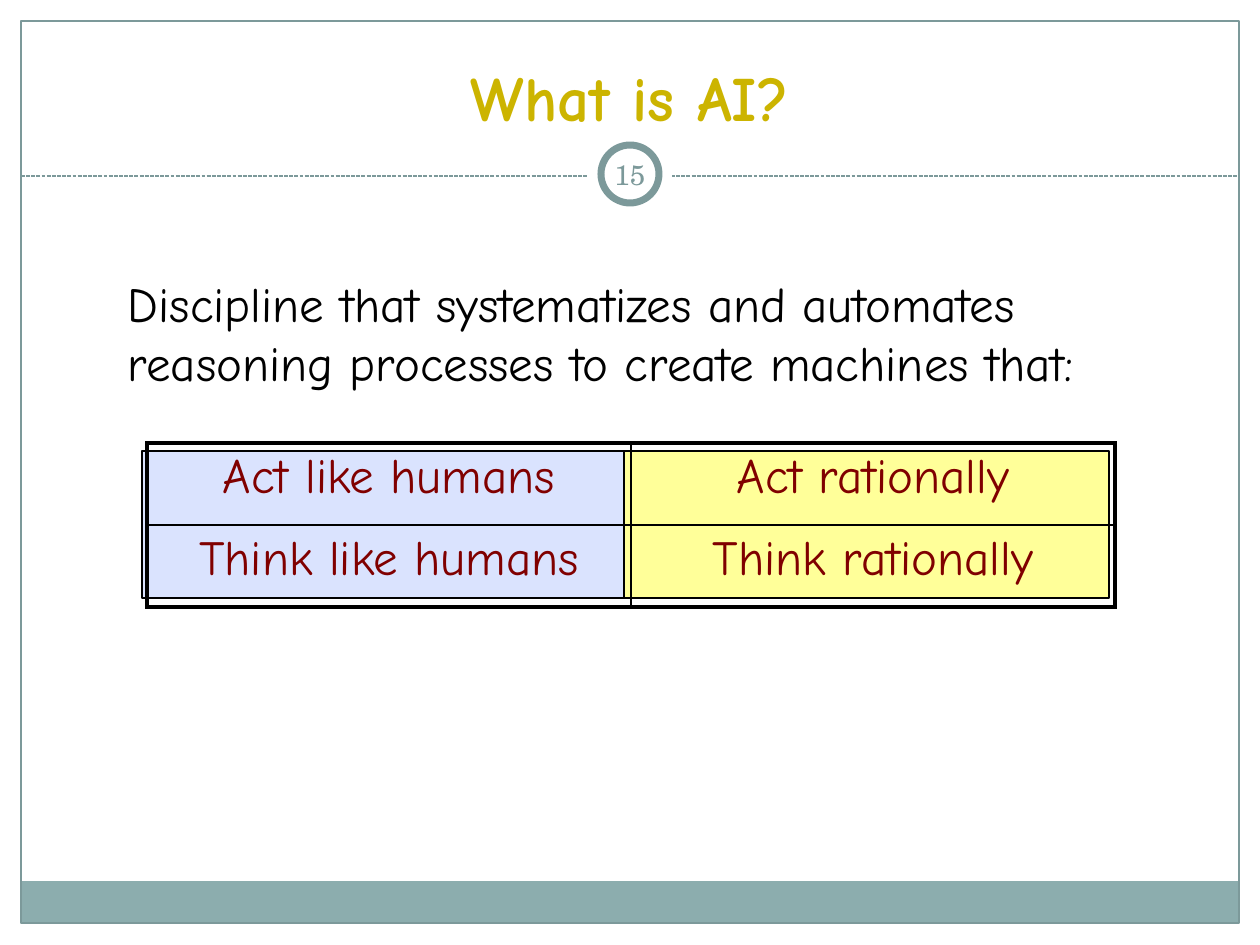
from lxml import etree
from pptx import Presentation
from pptx.dml.color import RGBColor
from pptx.enum.dml import MSO_LINE
from pptx.enum.shapes import MSO_CONNECTOR, MSO_SHAPE
from pptx.enum.text import MSO_ANCHOR, PP_ALIGN
from pptx.oxml.ns import qn
from pptx.util import Emu, Pt

RECT, OVAL = MSO_SHAPE.RECTANGLE, MSO_SHAPE.OVAL
STRAIGHT, DASH = MSO_CONNECTOR.STRAIGHT, MSO_LINE.SQUARE_DOT
LEFT, CENTER = PP_ALIGN.LEFT, PP_ALIGN.CENTER
TOP, MIDDLE, BOTTOM = MSO_ANCHOR.TOP, MSO_ANCHOR.MIDDLE, MSO_ANCHOR.BOTTOM

# Content
TITLE = "What is AI?"
PAGE_NUMBER = "15"
INTRO = ("Discipline that systematizes and automates reasoning "
         "processes to create machines that:")
GOALS = [["Act like humans", "Act rationally"],
         ["Think like humans", "Think rationally"]]

# Theme
THEME = {
    "white": "FFFFFF", "teal": "7C999A", "band": "8CADAE", "black": "000000",
    "blue": "DAE3FE", "yellow": "FFFF99",
    "title": {"name": "Comic Neue", "size": 36, "bold": True, "color": "CCB400"},
    "body": {"name": "Comic Neue", "size": 28, "bold": False, "color": "000000"},
    "goal": {"name": "Comic Neue", "size": 28, "bold": False, "color": "800000"},
    "number": {"name": "TeX Gyre Schola", "size": 16, "bold": False, "color": "7C999A"},
    "thin": 0.75, "ring": 4, "inner": 1, "outer": 2.25,
}

# Layout in px: (shape, box, fill, line colour, line width)
WIDTH, HEIGHT = 1260, 945
RULE_Y, EDGE = 176, 21
FRAME = [
    (RECT, (0, 0, WIDTH, 192), "white", None, None),
    (RECT, (0, 0, EDGE, HEIGHT), "white", None, None),
    (RECT, (WIDTH - EDGE, 0, EDGE, HEIGHT), "white", None, None),
    (RECT, (EDGE, 881, WIDTH - 2 * EDGE, 43), "band", None, None),
    (RECT, (EDGE, EDGE, WIDTH - 2 * EDGE, 902), None, "teal", "thin"),
]
BADGE = [
    (OVAL, (588, 132, 84, 84), "white", None, None),
    (OVAL, (601, 145, 58, 58), "white", "teal", "ring"),
]
PANELS = [
    (RECT, (142, 451, 482, 147), "blue", "black", "thin"),
    (RECT, (624, 451, 485, 147), "yellow", "black", "thin"),
]
TABLE_BOX = (147, 443, 968, 164)


def px(value):
    return Emu(round(value * 914400 / 126))


def rgb(code):
    return RGBColor.from_string(code)


def add_shapes(page, items):
    for kind, box, fill, line, width in items:
        shape = page.shapes.add_shape(kind, *map(px, box))
        shape.shadow.inherit = False
        if fill:
            shape.fill.solid()
            shape.fill.fore_color.rgb = rgb(THEME[fill])
        else:
            shape.fill.background()
        if line:
            shape.line.color.rgb = rgb(THEME[line])
            shape.line.width = Pt(THEME[width])
        else:
            shape.line.fill.background()


def write(frame, text, style, align):
    para = frame.paragraphs[0]
    para.alignment = align
    span = para.add_run()
    span.text = text
    look = THEME[style]
    for name, value in {"name": look["name"], "size": Pt(look["size"]),
                        "bold": look["bold"]}.items():
        setattr(span.font, name, value)
    span.font.color.rgb = rgb(look["color"])


def add_text(page, box, text, style, align, anchor, insets):
    frame = page.shapes.add_textbox(*map(px, box)).text_frame
    frame.word_wrap = True
    frame.vertical_anchor = anchor
    for side, inset in zip(("left", "top", "right", "bottom"), insets):
        setattr(frame, f"margin_{side}", px(inset))
    write(frame, text, style, align)


def add_border(cell, side, width):
    line = etree.SubElement(cell._tc.get_or_add_tcPr(), qn(f"a:ln{side}"),
                            w=str(Pt(width)))
    fill = etree.SubElement(line, qn("a:solidFill"))
    etree.SubElement(fill, qn("a:srgbClr"), val=THEME["black"])


def add_goals(page):
    rows, columns = len(GOALS), len(GOALS[0])
    table = page.shapes.add_table(rows, columns, *map(px, TABLE_BOX)).table
    table.first_row = table.horz_banding = False
    for row, goals in enumerate(GOALS):
        for column, goal in enumerate(goals):
            cell = table.cell(row, column)
            outside = {"L": column == 0, "R": column == columns - 1,
                       "T": row == 0, "B": row == rows - 1}
            for side, is_outer in outside.items():
                add_border(cell, side, THEME["outer" if is_outer else "inner"])
            cell.fill.background()
            write(cell.text_frame, goal, "goal", CENTER)


def main():
    deck = Presentation()
    deck.slide_width, deck.slide_height = px(WIDTH), px(HEIGHT)
    page = deck.slides.add_slide(deck.slide_layouts[6])

    # Frame, dashed rule and page number badge
    add_shapes(page, FRAME)
    rule = page.shapes.add_connector(
        STRAIGHT, px(EDGE), px(RULE_Y), px(WIDTH - EDGE), px(RULE_Y))
    rule.line.color.rgb = rgb(THEME["teal"])
    rule.line.width = Pt(THEME["thin"])
    rule.line.dash_style = DASH
    etree.SubElement(rule._element.spPr, qn("a:effectLst"))
    add_shapes(page, BADGE)
    add_text(page, (599, 144, 62, 60), PAGE_NUMBER, "number", CENTER, MIDDLE,
             (6, 6, 6, 6))

    # Goals over their coloured panels
    add_shapes(page, PANELS)
    add_goals(page)

    # Title and introduction
    add_text(page, (63, 38, 1134, 157), TITLE, "title", CENTER, BOTTOM,
             (12, 6, 12, 61))
    add_text(page, (116, 262, 1081, 567), INTRO, "body", LEFT, TOP,
             (12, 12, 12, 6))
    deck.save("out.pptx")


if __name__ == "__main__":
    main()
